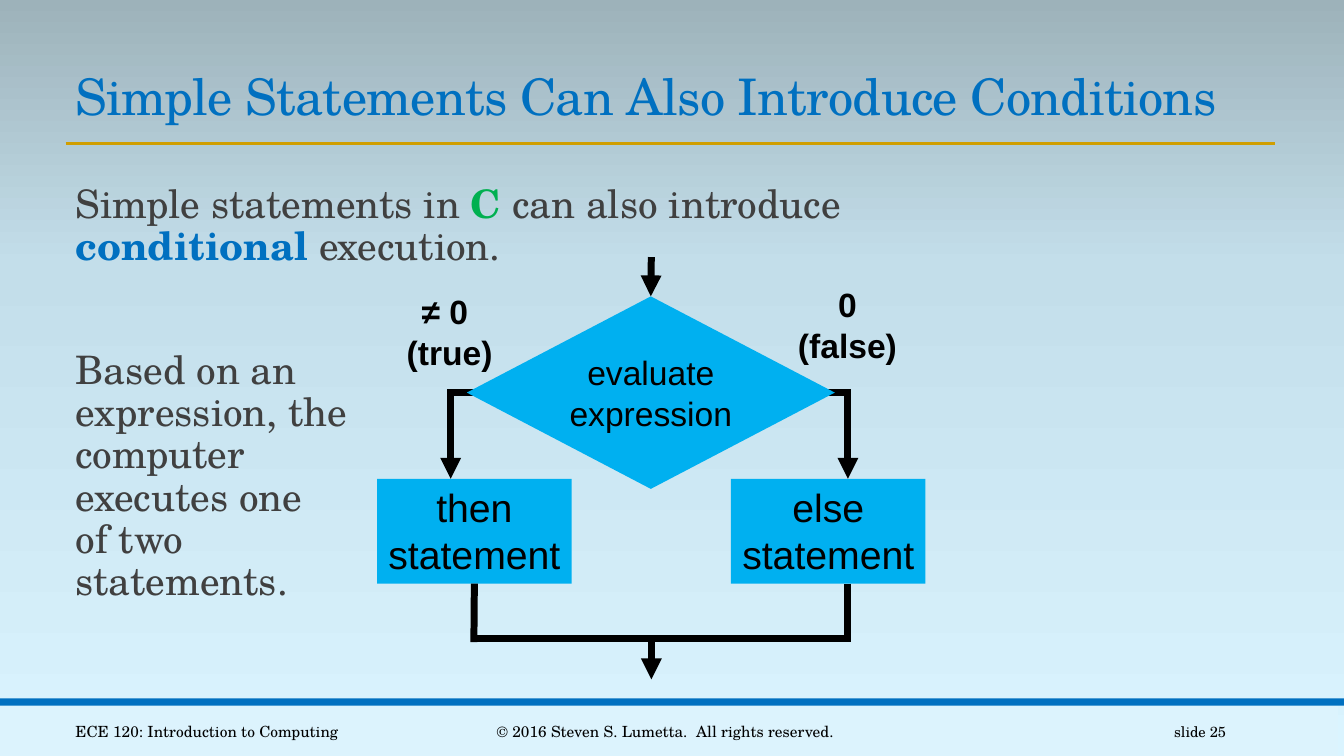
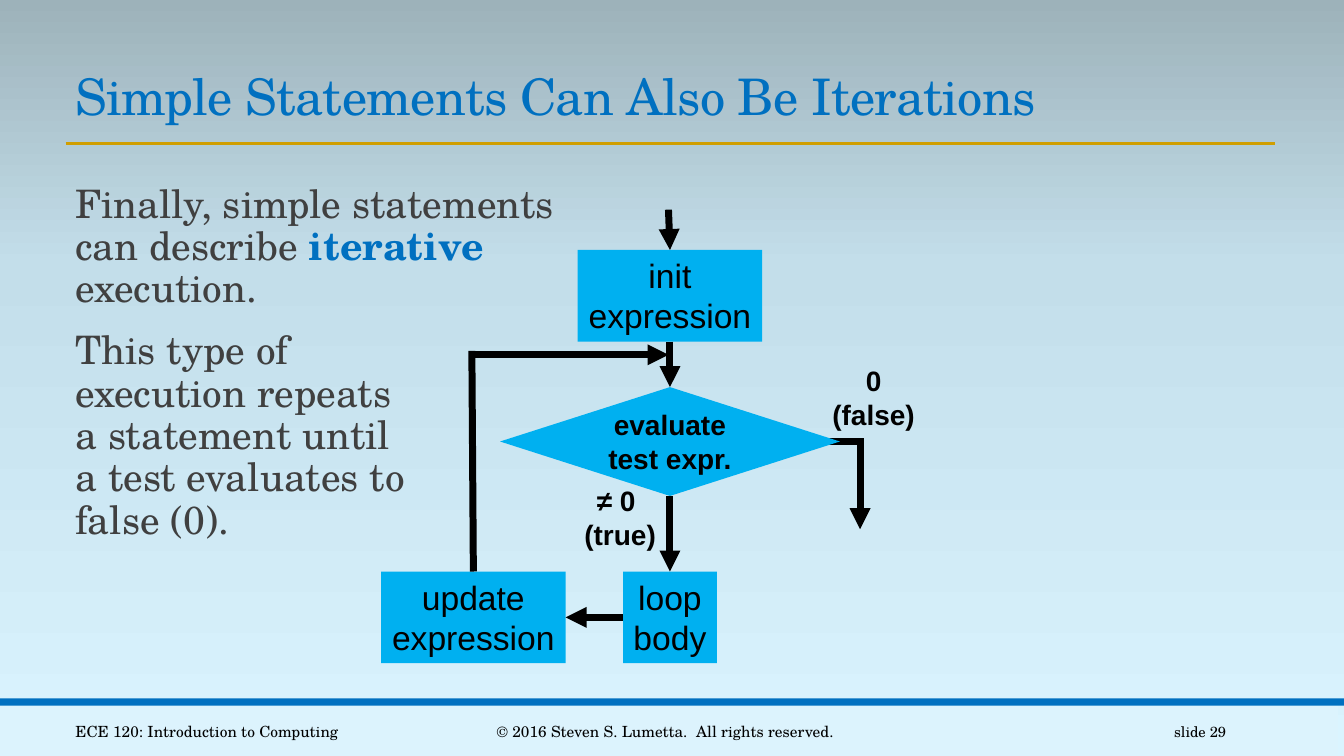
from copy import deepcopy

from lxml import etree
from pptx import Presentation
from pptx.dml.color import RGBColor
from pptx.enum.shapes import MSO_CONNECTOR, MSO_SHAPE
from pptx.enum.text import MSO_ANCHOR, MSO_AUTO_SIZE, PP_ALIGN
from pptx.oxml.ns import qn
from pptx.util import Inches, Pt

RECT, DECISION = MSO_SHAPE.RECTANGLE, MSO_SHAPE.FLOWCHART_DECISION
STRAIGHT = MSO_CONNECTOR.STRAIGHT
LEFT, CENTER, RIGHT = PP_ALIGN.LEFT, PP_ALIGN.CENTER, PP_ALIGN.RIGHT
TOP, MIDDLE, BOTTOM = MSO_ANCHOR.TOP, MSO_ANCHOR.MIDDLE, MSO_ANCHOR.BOTTOM
FIT, NO_FIT = MSO_AUTO_SIZE.SHAPE_TO_FIT_TEXT, MSO_AUTO_SIZE.NONE

SERIF, SANS = "TeX Gyre Schola", "Arial"
COLORS = {
    "blue": "0070C0", "gold": "D09E00", "green": "00B050", "gray": "404040",
    "black": "000000", "node": "00B0F0", "footer": "DCF3FD",
}
BACKGROUND_STOPS = [(0, "DAF4FF"), (65, "C3DEEA"), (100, "9DB2BA")]

# Connection sites of rectangles and decisions
SITE_TOP, SITE_LEFT, SITE_BOTTOM, SITE_RIGHT = range(4)


def rgb(name):
    return RGBColor.from_string(COLORS[name])


def box(x, y, w, h):
    return [Inches(v) for v in (x, y, w, h)]


def style_font(font, name, size, color, bold=False):
    font.name, font.size, font.bold = name, Pt(size), bold
    font.color.rgb = rgb(color)


def style_text(tf, name, size, color="black", bold=False, align=CENTER):
    for p in tf.paragraphs:
        p.alignment = align
        for r in p.runs:
            style_font(r.font, name, size, color, bold)


# Shared slide parts

def set_background(master):
    fill = master.background.fill
    fill.gradient()
    fill.gradient_angle = 90
    stops = master.element.xpath(".//p:bg//a:gsLst")[0]
    stops.append(deepcopy(stops[0]))
    for stop, (position, color) in zip(fill.gradient_stops, BACKGROUND_STOPS):
        stop.position = position / 100
        stop.color.rgb = RGBColor.from_string(color)


def add_shape(s, kind, area, color):
    sp = s.shapes.add_shape(kind, *box(*area))
    sp.shadow.inherit = False
    sp.fill.solid()
    sp.fill.fore_color.rgb = rgb(color)
    sp.line.fill.background()
    return sp


def add_textbox(s, area, text, anchor=TOP, wrap=True):
    sp = s.shapes.add_textbox(*box(*area))
    tf = sp.text_frame
    tf.text = text
    tf.word_wrap, tf.vertical_anchor = wrap, anchor
    return tf


def add_title(s, text):
    sp = s.shapes.title
    sp.left, sp.top, sp.width, sp.height = box(0.65, 0.59, 12.01, 0.71)
    tf = sp.text_frame
    tf.text = text
    tf.vertical_anchor, tf.auto_size = BOTTOM, NO_FIT
    tf.paragraphs[0].line_spacing = 0.85
    style_text(tf, SERIF, 36, "blue", align=LEFT)
    tf.paragraphs[0].runs[0].font._element.set("spc", "-50")


def add_slide(prs, title, number):
    s = prs.slides.add_slide(prs.slide_layouts[5])
    add_shape(s, RECT, (-0.06, 7, 13.33, 0.5), "footer")
    add_shape(s, RECT, (0, 6.93, 13.33, 0.07), "blue")
    add_line(s, (0.65, 1.42), (12.65, 1.42), color="gold", width=2)
    add_title(s, title)
    footers = [
        (0.65, 3.25, "ECE 120: Introduction to Computing", 11, LEFT),
        (4.03, 5.14, "© 2016 Steven S. Lumetta.  All rights reserved.", 11, CENTER),
        (10.83, 1.43, f"slide {number}", 10.5, RIGHT),
    ]
    for x, w, text, size, align in footers:
        tf = add_textbox(s, (x, 7.06, w, 0.4), text, MIDDLE)
        style_text(tf, SERIF, size, align=align)
    return s


def add_body(s, paragraphs, gap=12):
    """Each paragraph is a list of (text, color); colored words are bold."""
    tf = add_textbox(s, (0.65, 1.78, 8.52, 4.64), "")
    tf.margin_left, tf.margin_right = Inches(0.1), 0
    for i, parts in enumerate(paragraphs):
        p = tf.add_paragraph() if i else tf.paragraphs[0]
        p.line_spacing, p.space_after = 0.9, Pt(2)
        p.space_before = Pt(gap if i else 0)
        for text, color in parts:
            for j, piece in enumerate(text.split("\n")):
                if j:
                    p.add_line_break()
                if piece:
                    r = p.add_run()
                    r.text = piece
                    style_font(r.font, SERIF, 28, color, color != "gray")
        # Line breaks take the body size too
        for br in p._p.findall(qn("a:br")):
            etree.SubElement(br, qn("a:rPr")).set("sz", "2800")


# Flowchart parts

def add_node(s, area, text, size=24):
    sp = add_shape(s, RECT, area, "node")
    tf = sp.text_frame
    tf.text = text
    tf.word_wrap, tf.auto_size, tf.vertical_anchor = False, FIT, TOP
    style_text(tf, SANS, size)
    return sp


def add_decision(s, area, text, size, bold=False):
    sp = add_shape(s, DECISION, area, "node")
    tf = sp.text_frame
    tf.text = text
    tf.vertical_anchor = MIDDLE
    style_text(tf, SANS, size, bold=bold)
    return sp


def add_label(s, area, text, size):
    tf = add_textbox(s, area, text, wrap=False)
    tf.auto_size = FIT
    style_text(tf, SANS, size, bold=True)


def add_line(s, start, end, arrow=False, color="black", width=5):
    """An end is either a point (x, y) or a joint (shape, site)."""
    joined = [not isinstance(e[0], (int, float)) for e in (start, end)]
    points = [(0, 0) if j else e for e, j in zip((start, end), joined)]
    c = s.shapes.add_connector(
        STRAIGHT, *[Inches(v) for point in points for v in point])
    if joined[0]:
        c.begin_connect(*start)
    if joined[1]:
        c.end_connect(*end)
    c.line.color.rgb, c.line.width = rgb(color), Pt(width)
    if arrow:
        ln = c.line._get_or_add_ln()
        etree.SubElement(ln, qn("a:tailEnd")).set("type", "triangle")
    etree.SubElement(c._element.spPr, qn("a:effectLst"))


# Slides

def add_conditions_slide(prs):
    s = add_slide(prs, "Simple Statements Can Also Introduce Conditions", 25)
    add_body(s, [
        [("Simple statements in ", "gray"), ("C", "green"),
         (" can also introduce ", "gray"), ("conditional", "blue"),
         (" execution.", "gray")],
        [("Based on an \nexpression, the \ncomputer \nexecutes one \n"
          "of two\nstatements.", "gray")],
    ], gap=56)

    then_box = add_node(s, (3.74, 4.75, 1.93, 1.04), "then\nstatement", 28)
    add_node(s, (7.25, 4.75, 1.93, 1.04), "else\nstatement", 28)

    # Branches leave from behind the decision
    for x, inner, outer in ((4.47, 4.9, 4.47), (8.41, 8.01, 8.44)):
        add_line(s, (inner, 3.89), (outer, 3.89))
        add_line(s, (x, 3.86), (x, 4.75), arrow=True)
    decision = add_decision(s, (4.63, 2.94, 3.65, 1.91),
                            "evaluate\nexpression", 24)
    add_line(s, (6.46, 2.55), (decision, SITE_TOP), arrow=True)

    # Branches merge again
    add_line(s, (then_box, SITE_BOTTOM), (4.7, 6.37))
    add_line(s, (8.41, 5.79), (8.41, 6.37))
    add_line(s, (8.41, 6.33), (4.67, 6.33))
    add_line(s, (6.46, 6.33), (6.46, 6.74), arrow=True)

    add_label(s, (3.93, 2.84, 1.06, 0.91), "≠ 0 \n(true)", 24)
    add_label(s, (7.81, 2.77, 1.19, 0.91), " 0 \n(false)", 24)


def add_iterations_slide(prs):
    s = add_slide(prs, "Simple Statements Can Also Be Iterations", 29)
    add_body(s, [
        [("Finally, simple statements\ncan describe ", "gray"),
         ("iterative \n", "blue"), ("execution.", "gray")],
        [("This type of\nexecution repeats\na statement until\n"
          "a test evaluates to\nfalse (0).", "gray")],
    ])

    init = add_node(s, (5.73, 2.48, 1.83, 0.91), "init\nexpression")
    loop = add_node(s, (6.18, 5.67, 0.93, 0.91), "loop\nbody")
    update = add_node(s, (3.78, 5.67, 1.83, 0.91), "update\nexpression")

    # Loop exit leaves from behind the decision
    add_line(s, (8.56, 4.38), (8.12, 4.38))
    add_line(s, (8.53, 4.35), (8.53, 5.25), arrow=True)
    decision = add_decision(s, (4.96, 3.84, 3.37, 1.08),
                            "evaluate\ntest expr.", 20, bold=True)

    # Entry and loop
    for start, end in (
        ((6.63, 2.08), (init, SITE_TOP)),
        ((init, SITE_BOTTOM), (decision, SITE_TOP)),
        ((decision, SITE_BOTTOM), (loop, SITE_TOP)),
        ((loop, SITE_LEFT), (update, SITE_RIGHT)),
        ((4.7, 3.52), (6.63, 3.52)),
    ):
        add_line(s, start, end, arrow=True)
    add_line(s, (update, SITE_TOP), (4.68, 3.48))

    add_label(s, (5.69, 4.75, 0.92, 0.77), "≠ 0 \n(true)", 20)
    add_label(s, (8.15, 3.56, 1.03, 0.77), " 0 \n(false)", 20)


def main():
    prs = Presentation()
    prs.slide_width, prs.slide_height = Inches(13.33), Inches(7.5)
    set_background(prs.slide_master)
    add_conditions_slide(prs)
    add_iterations_slide(prs)
    prs.save("out.pptx")


if __name__ == "__main__":
    main()
